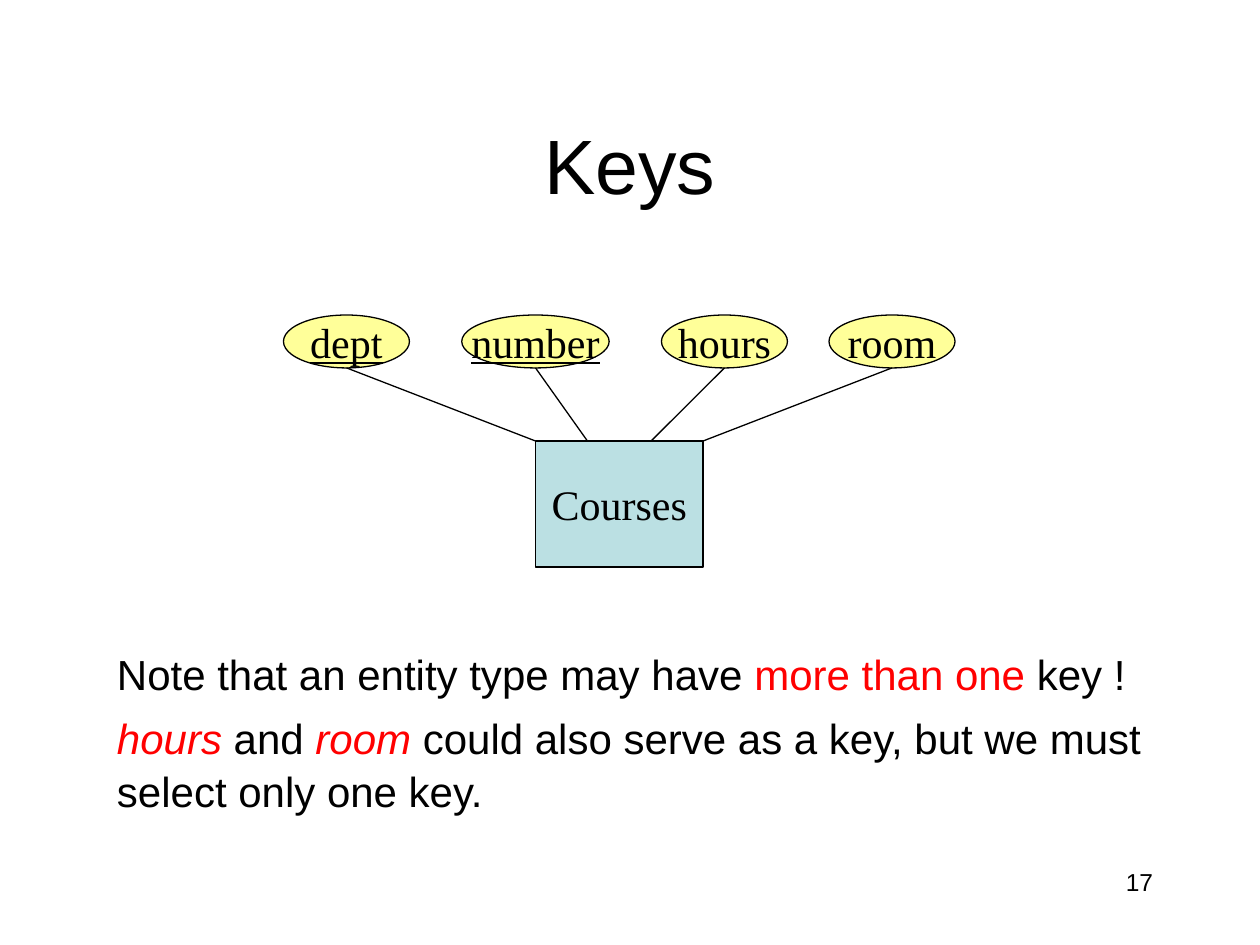
from dataclasses import dataclass

from lxml import etree
from pptx import Presentation
from pptx import util as u
from pptx.dml import color
from pptx.enum import shapes, text
from pptx.oxml import ns


@dataclass(frozen=True)
class Theme:
    """Colours, fonts and type sizes of the slide."""
    ink: color.RGBColor = color.RGBColor(0, 0, 0)
    accent: color.RGBColor = color.RGBColor(0xFF, 0, 0)
    entity: color.RGBColor = color.RGBColor(0xBB, 0xE0, 0xE3)
    attribute: color.RGBColor = color.RGBColor(0xFF, 0xFF, 0x99)
    sans: str = "Arial"
    serif: str = "Times New Roman"
    title_size: u.Pt = u.Pt(44)
    body_size: u.Pt = u.Pt(24)
    number_size: u.Pt = u.Pt(14)
    line_width: u.Pt = u.Pt(0.75)


THEME = Theme()
ATTRIBUTES = [
    ("dept", 2.75, 1, True, 0),
    ("number", 4.25, 1.17, True, 0.31),
    ("hours", 5.75, 1, False, 0.69),
    ("room", 7.08, 1, False, 1),
]
NOTES = [
    [("Note that an entity type may have ", False, False),
     ("more than one ", True, False), ("key !", False, False)],
    [("hours", True, True), (" and ", False, False), ("room", True, True),
     (" could also serve as a key, but we must select only one key.", False, False)],
]


def style_font(font, size, name, colour=THEME.ink):
    """Set the size, typeface and colour of a font."""
    font.size, font.name = size, name
    font.color.rgb = colour


def add_label(slide, box, words, size, alignment, anchor):
    """Add a one-line sans text box."""
    frame = slide.shapes.add_textbox(*map(u.Inches, box)).text_frame
    frame.word_wrap = True
    frame.vertical_anchor = anchor
    frame.text = words
    paragraph = frame.paragraphs[0]
    paragraph.alignment = alignment
    style_font(paragraph.runs[0].font, size, THEME.sans)


def add_node(slide, kind, box, words, fill, underline=None):
    """Add an outlined diagram node with a centred serif name."""
    shape = slide.shapes.add_shape(kind, *map(u.Inches, box))
    shape.shadow.inherit = False
    shape.fill.solid()
    shape.fill.fore_color.rgb = fill
    shape.line.color.rgb = THEME.ink
    shape.line.width = THEME.line_width
    frame = shape.text_frame
    frame.word_wrap = False
    frame.vertical_anchor = text.MSO_ANCHOR.MIDDLE
    frame.text = words
    paragraph = frame.paragraphs[0]
    paragraph.alignment = text.PP_ALIGN.CENTER
    font = paragraph.runs[0].font
    style_font(font, THEME.body_size, THEME.serif)
    font.underline = underline


def add_link(slide, start, end):
    """Add a thin straight line between two points."""
    connector = slide.shapes.add_connector(
        shapes.MSO_CONNECTOR.STRAIGHT, *map(u.Inches, (*start, *end)))
    connector.line.color.rgb = THEME.ink
    connector.line.width = THEME.line_width
    etree.SubElement(connector._element.spPr, ns.qn("a:effectLst"))


def add_diagram(slide, box):
    """Draw the entity at the foot of the box and its attributes along the top."""
    left, top, width, height = box
    oval_height, entity_width, entity_height = 0.42, 1.33, 1
    entity_left = left + (width - entity_width) / 2
    entity_top = top + height - entity_height
    add_node(slide, shapes.MSO_SHAPE.RECTANGLE,
             (entity_left, entity_top, entity_width, entity_height),
             "Courses", THEME.entity)
    for name, centre, oval_width, is_key, share in ATTRIBUTES:
        middle = left + centre - 2.25
        add_node(slide, shapes.MSO_SHAPE.OVAL,
                 (middle - oval_width / 2, top, oval_width, oval_height),
                 name, THEME.attribute, is_key)
        add_link(slide, (middle, top + oval_height),
                 (entity_left + share * entity_width, entity_top))


def add_notes_text(slide, box):
    """Write the remarks with their emphasised words."""
    frame = slide.shapes.add_textbox(*map(u.Inches, box)).text_frame
    frame.word_wrap = True
    for index, pieces in enumerate(NOTES):
        paragraph = frame.add_paragraph() if index else frame.paragraphs[0]
        paragraph.line_spacing = 1.05
        if index:
            paragraph.space_before = u.Pt(6)
        for words, accented, italic in pieces:
            run = paragraph.add_run()
            run.text = words
            style_font(run.font, THEME.body_size, THEME.sans,
                       THEME.accent if accented else THEME.ink)
            run.font.italic = italic


def main():
    """Build and save the slide."""
    presentation = Presentation()
    presentation.slide_width, presentation.slide_height = u.Inches(10), u.Inches(7.5)
    slide = presentation.slides.add_slide(presentation.slide_layouts[6])
    add_label(slide, (7.17, 6.83, 2.08, 0.5), "17", THEME.number_size,
              text.PP_ALIGN.RIGHT, text.MSO_ANCHOR.TOP)
    add_label(slide, (0.75, 0.67, 8.5, 1.25), "Keys", THEME.title_size,
              text.PP_ALIGN.CENTER, text.MSO_ANCHOR.MIDDLE)
    add_diagram(slide, (2.25, 2.5, 5.33, 2))
    add_notes_text(slide, (0.83, 5.08, 8.42, 1.39))
    presentation.save("out.pptx")


if __name__ == "__main__":
    main()
